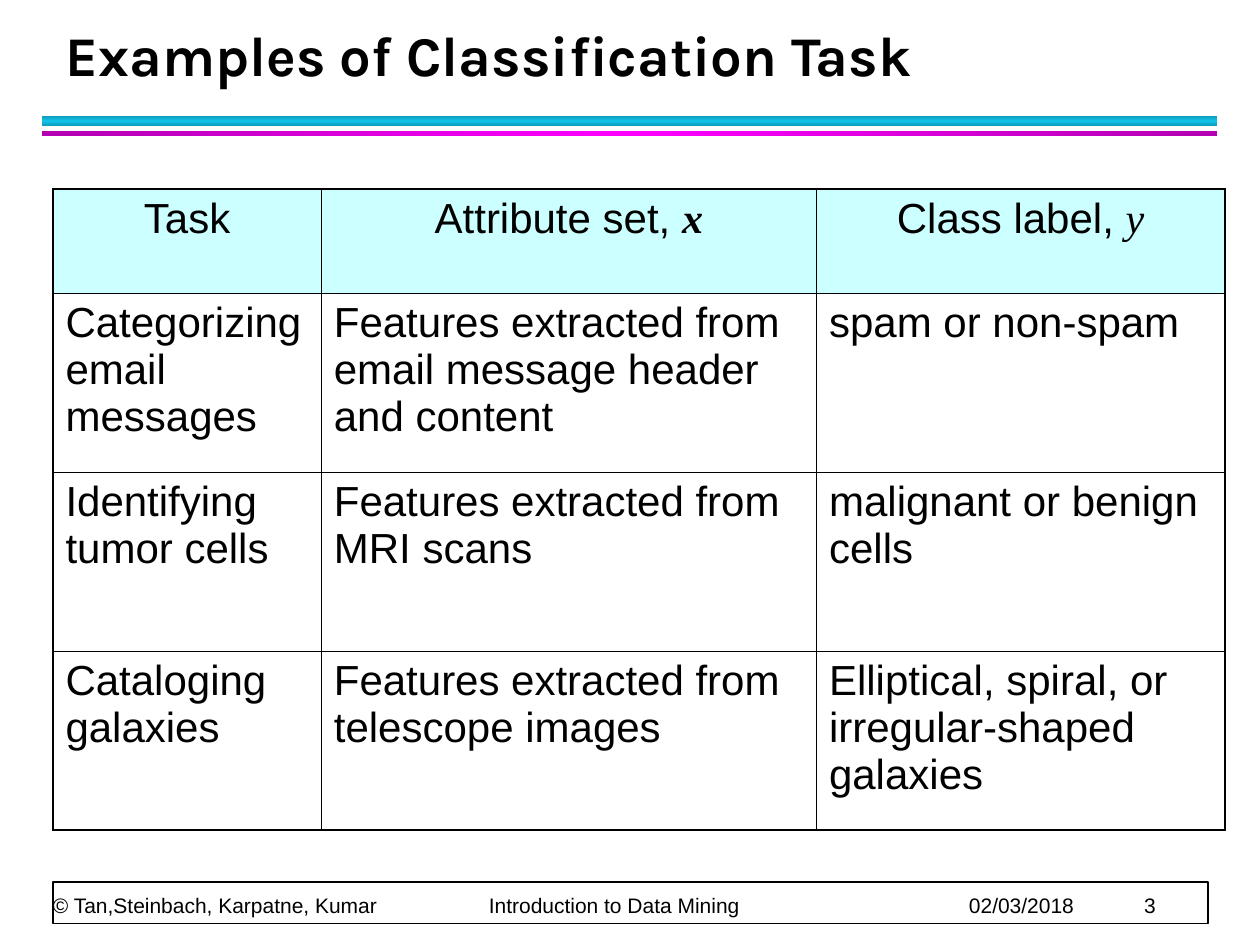
from copy import deepcopy
from dataclasses import dataclass

from pptx import Presentation
from pptx.dml.color import RGBColor
from pptx.enum.shapes import MSO_SHAPE
from pptx.enum.text import MSO_ANCHOR, MSO_AUTO_SIZE, PP_ALIGN
from pptx.oxml import parse_xml
from pptx.oxml.ns import nsdecls, qn
from pptx.util import Inches, Pt

RECT = MSO_SHAPE.RECTANGLE
BOTTOM = MSO_ANCHOR.BOTTOM
NO_FIT = MSO_AUTO_SIZE.NONE
LEFT, CENTER = PP_ALIGN.LEFT, PP_ALIGN.CENTER


@dataclass(frozen=True)
class Theme:
    ink: str = "000000"
    paper: str = "FFFFFF"
    header: str = "CCFFFF"
    cyan: tuple = ("0E9BBA", "12C2E9", "0E9BBA")
    magenta: tuple = ("B200B2", "FF00FF", "B200B2")
    title_font: str = "Karla"
    body_font: str = "Arial"
    symbol_font: str = "Times New Roman"
    title_size: int = 32
    body_size: int = 24
    footer_size: int = 12
    outer_line: float = 1.08
    inner_line: float = 0.45


class SlideBuilder:
    def __init__(self, slide, theme):
        self.s = slide
        self.t = theme

    def run(self, p, text, size, **formats):
        r = p.add_run()
        r.text = text
        values = {"name": self.t.body_font, "size": Pt(size), **formats}
        for name, value in values.items():
            setattr(r.font, name, value)
        r.font.color.rgb = RGBColor.from_string(self.t.ink)

    def rect(self, box):
        sp = self.s.shapes.add_shape(RECT, *map(Inches, box))
        sp.shadow.inherit = False
        return sp

    def gradient_bar(self, box, colors, angle):
        sp = self.rect(box)
        sp.line.fill.background()
        sp.fill.gradient()
        sp.fill.gradient_angle = angle
        stops = sp._element.spPr.find(".//" + qn("a:gsLst"))
        stops.insert(1, deepcopy(stops[0]))
        for i, (stop, color) in enumerate(zip(sp.fill.gradient_stops, colors)):
            stop.position = i / 2
            stop.color.rgb = RGBColor.from_string(color)

    def frame(self, box):
        sp = self.rect(box)
        sp.fill.solid()
        sp.fill.fore_color.rgb = RGBColor.from_string(self.t.paper)
        sp.line.color.rgb = RGBColor.from_string(self.t.ink)
        sp.line.width = Pt(1)

    def title(self, box, text):
        sp = self.s.shapes.title
        sp.left, sp.top, sp.width, sp.height = map(Inches, box)
        tf = sp.text_frame
        tf.auto_size, tf.vertical_anchor = NO_FIT, BOTTOM
        p = tf.paragraphs[0]
        p.alignment, p.line_spacing = LEFT, Pt(36)
        self.run(p, text, self.t.title_size, name=self.t.title_font, bold=True)

    def footer(self, box, parts, stops):
        tf = self.s.shapes.add_textbox(*map(Inches, box)).text_frame
        margins = dict.fromkeys(
            ("margin_left", "margin_top", "margin_right", "margin_bottom"), 0)
        values = {"word_wrap": True, "vertical_anchor": BOTTOM, **margins}
        for name, value in values.items():
            setattr(tf, name, value)
        p = tf.paragraphs[0]
        p.line_spacing = Pt(20)
        tabs = "".join(f'<a:tab pos="{Inches(x)}" algn="l"/>' for x in stops)
        p._p.get_or_add_pPr().append(
            parse_xml(f'<a:tabLst {nsdecls("a")}>{tabs}</a:tabLst>'))
        self.run(p, "\t".join(parts), self.t.footer_size)

    def cell_borders(self, cell, outer_sides):
        tc_pr = cell._tc.get_or_add_tcPr()
        for i, side in enumerate("LRTB"):
            width = self.t.outer_line if side in outer_sides else self.t.inner_line
            tc_pr.insert(i, parse_xml(
                f'<a:ln{side} {nsdecls("a")} w="{Pt(width)}"><a:solidFill>'
                f'<a:srgbClr val="{self.t.ink}"/></a:solidFill></a:ln{side}>'))

    def table(self, left, top, widths, heights, rows):
        table = self.s.shapes.add_table(
            len(heights), len(widths), Inches(left), Inches(top),
            Inches(sum(widths)), Inches(sum(heights))).table
        table.first_row = table.horz_banding = False
        for col, width in zip(table.columns, widths):
            col.width = Inches(width)
        for row, height in zip(table.rows, heights):
            row.height = Inches(height)
        last_row, last_col = len(heights) - 1, len(widths) - 1
        for i, texts in enumerate(rows):
            for j, runs in enumerate(texts):
                cell = table.cell(i, j)
                cell.fill.solid()
                cell.fill.fore_color.rgb = RGBColor.from_string(
                    self.t.paper if i else self.t.header)
                edges = {"L": j == 0, "R": j == last_col,
                         "T": i == 0, "B": i == last_row}
                self.cell_borders(cell, [k for k, outer in edges.items() if outer])
                p = cell.text_frame.paragraphs[0]
                p.alignment = LEFT if i else CENTER
                p.space_before, p.space_after = Pt(3), Pt(4)
                for text, formats in runs:
                    self.run(p, text, self.t.body_size, **formats)


def main():
    prs = Presentation()
    prs.slide_width, prs.slide_height = Inches(10), Inches(7.5)
    theme = Theme()
    b = SlideBuilder(prs.slides.add_slide(prs.slide_layouts[5]), theme)

    # Title and double rule
    b.title((0.42, 0.17, 9.06, 0.58), "Examples of Classification Task")
    b.gradient_bar((0.33, 0.92, 9.33, 0.08), theme.cyan, 90)
    b.gradient_bar((0.33, 1.04, 9.33, 0.04), theme.magenta, 0)

    # Footer
    b.frame((0.42, 7, 9.17, 0.33))
    b.footer((0.42, 6.72, 9.15, 0.56),
             ("© Tan,Steinbach, Karpatne, Kumar", "Introduction to Data Mining",
              "02/03/2018", "3"),
             (3.46, 7.27, 8.66))

    # Table of tasks
    symbol = {"name": theme.symbol_font, "italic": True}
    header = [
        [("Task", {})],
        [("Attribute set, ", {}), ("x", {**symbol, "bold": True})],
        [("Class label, ", {}), ("y", symbol)],
    ]
    tasks = [
        ("Categorizing email messages",
         "Features extracted from email message header and content",
         "spam or non-spam"),
        ("Identifying tumor cells",
         "Features extracted from MRI scans",
         "malignant or benign cells"),
        ("Cataloging galaxies",
         "Features extracted from telescope images",
         "Elliptical, spiral, or irregular-shaped galaxies"),
    ]
    body = [[[(text, {})] for text in task] for task in tasks]
    b.table(0.42, 1.5, (2.13, 3.93, 3.24), [0.83] + [1.42] * len(tasks),
            [header] + body)

    prs.save("out.pptx")


if __name__ == "__main__":
    main()
